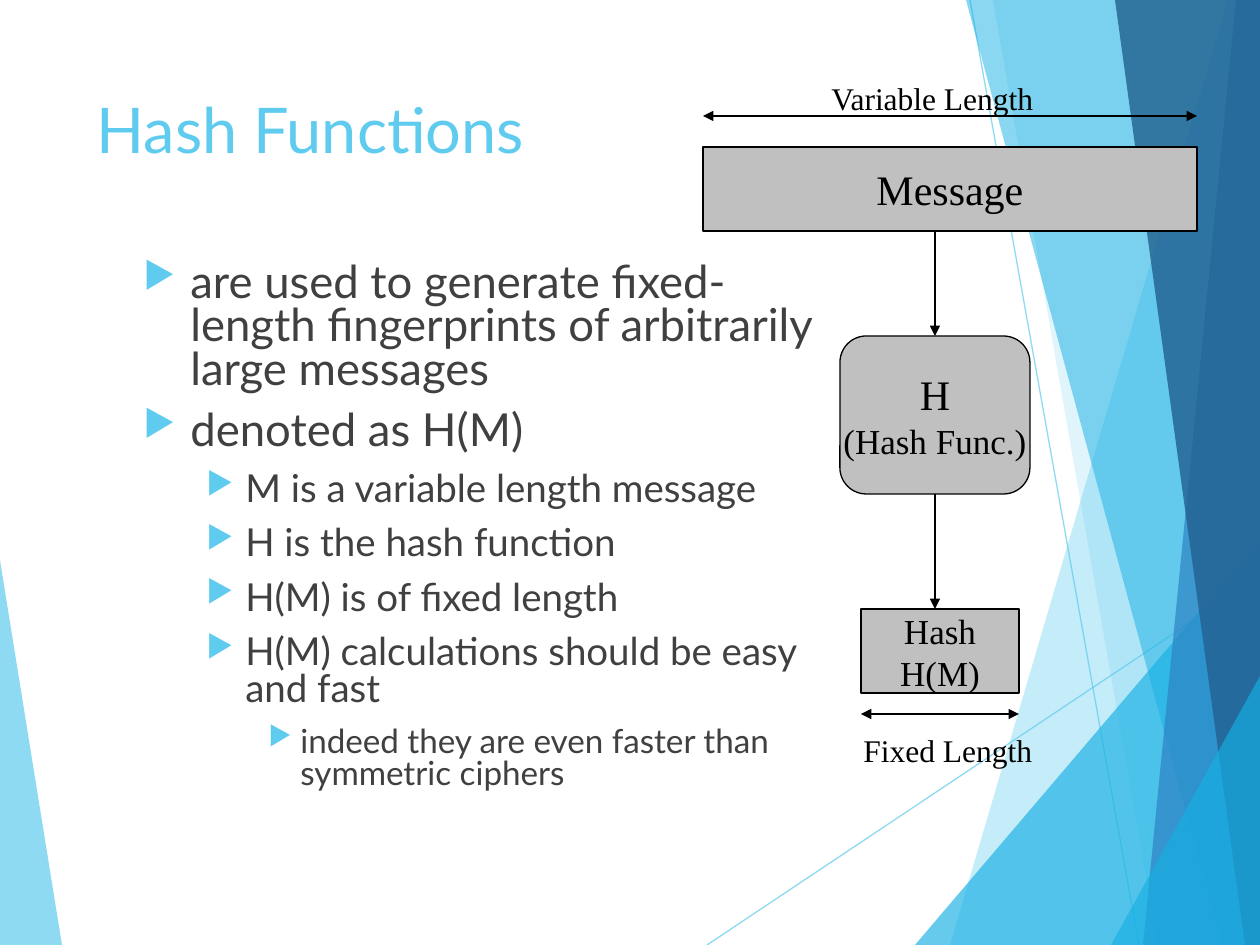
from lxml.etree import SubElement
from pptx import Presentation
from pptx.dml.color import RGBColor
from pptx.enum.shapes import MSO_CONNECTOR, MSO_SHAPE
from pptx.enum.text import MSO_ANCHOR, MSO_AUTO_SIZE, PP_ALIGN
from pptx.oxml.ns import qn
from pptx.util import Pt

SCALE = 914400 / 126
WIDE, HIGH = 1260, 945
SKY, CYAN, BLUE, NAVY = "5FCBEF", "17B0E4", "2E83C3", "236292"
BLACK, GREY, DARK = "000000", "C0C0C0", "404040"
SANS, SERIF = "Lato", "Times New Roman"

# Background shards: corner points, colour, opacity in percent
SHARDS = [
    ([(0, 560), (62, 945), (0, 945)], SKY, 70),
    ([(1228, 0), (950, 945), (1260, 945), (1260, 0)], SKY, 36),
    ([(993, 0), (1158, 945), (1260, 945), (1260, 0)], SKY, 20),
    ([(915, 945), (1260, 540), (1260, 945)], CYAN, 66),
    ([(966, 0), (1222, 945), (1260, 945), (1260, 0)], CYAN, 50),
    ([(1236, 0), (1143, 945), (1260, 945), (1260, 0)], BLUE, 70),
    ([(1115, 0), (1245, 945), (1260, 945), (1260, 0)], NAVY, 82),
    ([(1111, 945), (1260, 676), (1260, 945)], CYAN, 66),
]
RAYS = [((707, 945), (1260, 576)), ((970, 0), (1139, 945))]

# Bullets: level, text
POINTS = [
    (0, "are used to generate fixed-length fingerprints of arbitrarily large messages"),
    (0, "denoted as H(M)"),
    (1, "M is a variable length message"),
    (1, "H is the hash function"),
    (1, "H(M) is of fixed length"),
    (1, "H(M) calculations should be easy and fast"),
    (2, "indeed they are even faster than symmetric ciphers"),
]
# For each level: text size, left indent, hanging indent
LEVELS = [(26, 47, 47), (22, 102, 39), (19, 157, 32)]


def px(num):
    return round(num * SCALE)


def rgb(code):
    return RGBColor.from_string(code)


def fade(fill, part):
    """Set the opacity, in percent, of the solid colour under an element."""
    tone = fill.find(".//" + qn("a:srgbClr"))
    SubElement(tone, qn("a:alpha"), val=str(part * 1000))


def add_run(para, text, size, font, code):
    run = para.add_run()
    run.text = text
    run.font.size = Pt(size)
    run.font.name = font
    run.font.color.rgb = rgb(code)


def add_shard(shapes, points, code, part):
    form = shapes.build_freeform(*points[0], scale=SCALE)
    form.add_line_segments(points[1:], close=True)
    shard = form.convert_to_shape()
    shard.shadow.inherit = False
    shard.fill.solid()
    shard.fill.fore_color.rgb = rgb(code)
    shard.line.fill.background()
    fade(shard._element.spPr.find(qn("a:solidFill")), part)


def add_line(shapes, start, end, code=BLACK, heads=()):
    line = shapes.add_connector(
        MSO_CONNECTOR.STRAIGHT, *[px(n) for n in (*start, *end)])
    line.line.color.rgb = rgb(code)
    line.line.width = Pt(0.75)
    stroke = line.line._get_or_add_ln()
    for head in heads:
        SubElement(stroke, qn("a:" + head), type="triangle")
    SubElement(line._element.spPr, qn("a:effectLst"))
    return line


def add_box(shapes, kind, area, rows):
    box = shapes.add_shape(kind, *[px(n) for n in area])
    box.shadow.inherit = False
    box.fill.solid()
    box.fill.fore_color.rgb = rgb(GREY)
    box.line.color.rgb = rgb(BLACK)
    box.line.width = Pt(0.75)
    frame = box.text_frame
    frame.word_wrap = False
    frame.vertical_anchor = MSO_ANCHOR.MIDDLE
    for i, (text, size) in enumerate(rows):
        para = frame.add_paragraph() if i else frame.paragraphs[0]
        para.alignment = PP_ALIGN.CENTER
        add_run(para, text, size, SERIF, BLACK)
    return box


def add_frame(shapes, area):
    frame = shapes.add_textbox(*[px(n) for n in area]).text_frame
    frame.word_wrap = True
    return frame


def add_label(shapes, area, text):
    add_run(add_frame(shapes, area).paragraphs[0], text, 18, SERIF, BLACK)


def set_title(shapes, text):
    title = shapes.title
    title.left, title.top, title.width, title.height = [
        px(n) for n in (84, 84, 874, 182)]
    frame = title.text_frame
    frame.auto_size = MSO_AUTO_SIZE.NONE
    frame.vertical_anchor = MSO_ANCHOR.TOP
    para = frame.paragraphs[0]
    para.alignment = PP_ALIGN.LEFT
    add_run(para, text, 36, SANS, SKY)
    # Bring the title in front of the background
    shapes._spTree.append(title._element)


def add_points(shapes):
    frame = add_frame(shapes, (131, 257, 703, 567))
    for i, (level, text) in enumerate(POINTS):
        size, left, hang = LEVELS[level]
        para = frame.add_paragraph() if i else frame.paragraphs[0]
        para.level = level
        para.line_spacing = 0.8
        para.space_before = Pt(10)
        props = para._p.get_or_add_pPr()
        props.set("marL", str(px(left)))
        props.set("indent", str(-px(hang)))
        tone = SubElement(props, qn("a:buClr"))
        SubElement(tone, qn("a:srgbClr"), val=SKY)
        SubElement(props, qn("a:buSzPct"), val="80000")
        SubElement(props, qn("a:buChar"), char="▶")
        add_run(para, text, size, SANS, DARK)


def add_chain(shapes):
    # Message and its length
    add_box(shapes, MSO_SHAPE.RECTANGLE, (703, 147, 494, 84), [("Message", 24)])
    both = ("headEnd", "tailEnd")
    add_line(shapes, (703, 116), (1197, 116), heads=both)
    add_label(shapes, (819, 73, 325, 50), "Variable Length")

    # Hash function
    func = add_box(shapes, MSO_SHAPE.FLOWCHART_ALTERNATE_PROCESS,
                   (840, 336, 190, 158), [("H", 24), ("(Hash Func.)", 20)])
    feed = add_line(shapes, (935, 231), (935, 336), heads=["tailEnd"])
    feed.end_connect(func, 0)

    # Hash and its length
    add_box(shapes, MSO_SHAPE.RECTANGLE, (861, 609, 158, 84),
            [("Hash", 20), ("H(M)", 20)])
    drop = add_line(shapes, (935, 494), (935, 609), heads=["tailEnd"])
    drop.begin_connect(func, 2)
    add_line(shapes, (861, 714), (1019, 714), heads=both)
    add_label(shapes, (851, 725, 199, 50), "Fixed Length")


def main():
    deck = Presentation()
    deck.slide_width, deck.slide_height = px(WIDE), px(HIGH)
    shapes = deck.slides.add_slide(deck.slide_layouts[5]).shapes

    # Background
    for start, end in RAYS:
        ray = add_line(shapes, start, end, SKY)
        fade(ray.line._get_or_add_ln(), 70)
    for shard in SHARDS:
        add_shard(shapes, *shard)

    # Content
    set_title(shapes, "Hash Functions")
    add_points(shapes)
    add_chain(shapes)
    deck.save("out.pptx")


if __name__ == "__main__":
    main()
